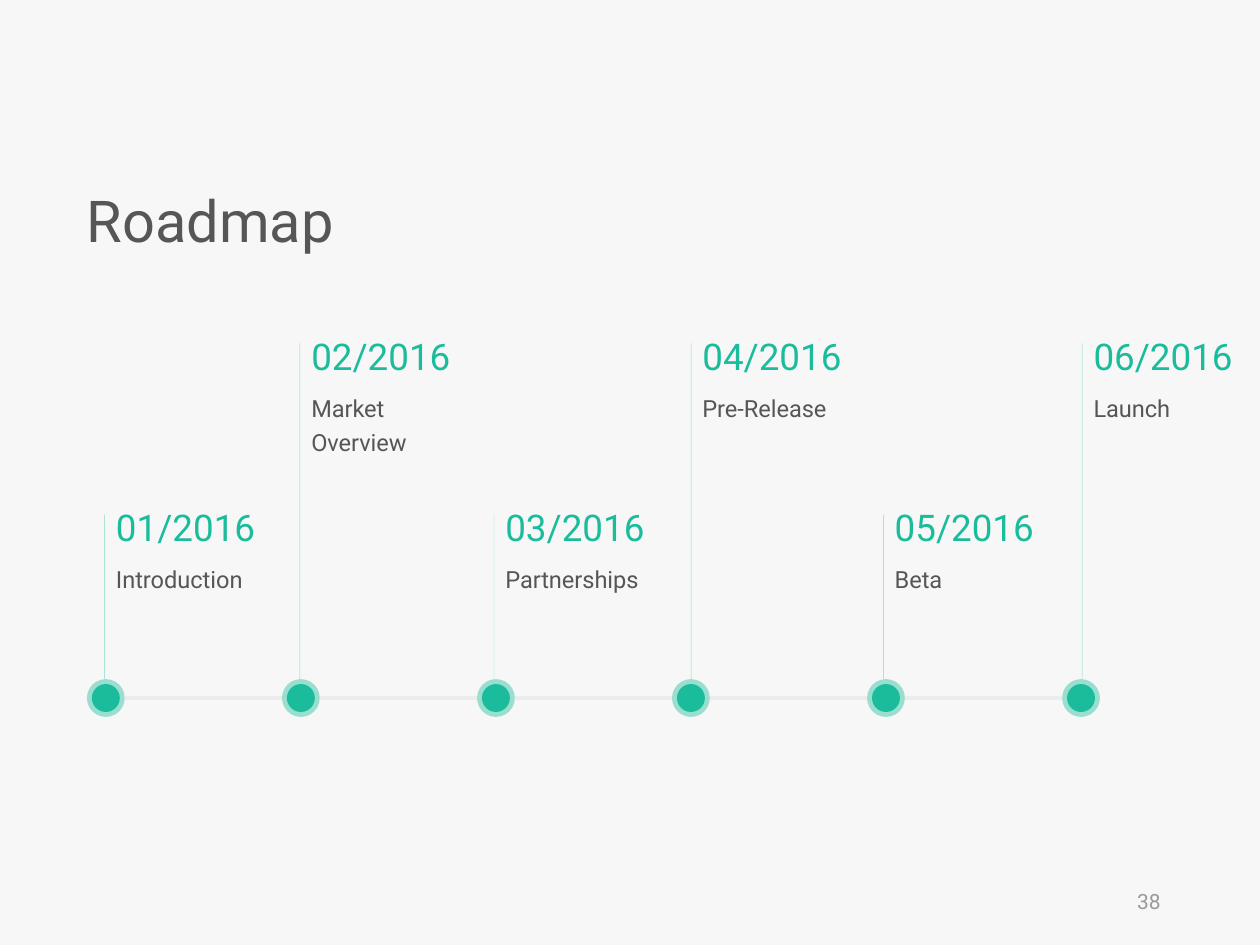
from lxml.etree import SubElement
from pptx import Presentation
from pptx.dml.color import RGBColor
from pptx.enum.shapes import MSO_CONNECTOR, MSO_SHAPE
from pptx.enum.text import MSO_ANCHOR, MSO_AUTO_SIZE, PP_ALIGN
from pptx.oxml.ns import qn
from pptx.util import Pt

TITLE = "Roadmap"
PAGE = "38"
MILESTONES = [
    ("01/2016", "Introduction"),
    ("02/2016", "Market Overview"),
    ("03/2016", "Partnerships"),
    ("04/2016", "Pre-Release"),
    ("05/2016", "Beta"),
    ("06/2016", "Launch"),
]
# Milestones alternate between the low and the high row.
ROWS = [
    {"left": 59.8, "pitch": 222.5, "top": 285.1},
    {"left": 171.4, "pitch": 223.5, "top": 187.2},
]
TWO_LINE_LABELS = {"Market Overview"}

FONT = "Roboto"
BACK, GREEN, DARK, GREY, TRACK = "F7F7F7", "1ABC9C", "565656", "9A9A9A", "EDECEC"
RING, DOT = 21.6, 16
AXIS_LEFT, AXIS_Y, DOT_PITCH = 49.7, 398.9, 111.45
LABEL_W, DATE_H, LINE_H = 100, 32.4, 25.2
LABEL_INSETS = (6.5, 3.6, 7.2, 3.6)


def rgb(color):
    return RGBColor.from_string(color)


def set_alpha(fill, percent):
    """Make a solid colour partly transparent."""
    color = fill._xPr.find(qn("a:solidFill"))[0]
    SubElement(color, qn("a:alpha"), val=str(percent * 1000))


def add_text(s, text, x, y, w, h, size, color, insets=(7.2, 3.6, 7.2, 3.6),
             align=PP_ALIGN.LEFT, anchor=MSO_ANCHOR.TOP, spacing=None, grow=True):
    tf = s.shapes.add_textbox(Pt(x), Pt(y), Pt(w), Pt(h)).text_frame
    tf.word_wrap = True
    tf.auto_size = MSO_AUTO_SIZE.SHAPE_TO_FIT_TEXT if grow else MSO_AUTO_SIZE.NONE
    tf.vertical_anchor = anchor
    tf.margin_left, tf.margin_top, tf.margin_right, tf.margin_bottom = map(Pt, insets)
    p = tf.paragraphs[0]
    p.alignment = align
    p.line_spacing = spacing
    r = p.add_run()
    r.text = text
    r.font.name, r.font.size = FONT, Pt(size)
    r.font.color.rgb = rgb(color)


def add_line(s, x1, y1, x2, y2, color, width, alpha=None):
    line = s.shapes.add_connector(MSO_CONNECTOR.STRAIGHT, Pt(x1), Pt(y1), Pt(x2), Pt(y2))
    line.line.color.rgb = rgb(color)
    line.line.width = Pt(width)
    if alpha:
        set_alpha(line.line.fill, alpha)
    SubElement(line._element.spPr, qn("a:effectLst"))


def add_circle(group, cx, cy, size, alpha=None):
    sp = group.shapes.add_shape(MSO_SHAPE.OVAL, Pt(cx - size / 2), Pt(cy - size / 2),
                                Pt(size), Pt(size))
    sp.shadow.inherit = False
    sp.fill.solid()
    sp.fill.fore_color.rgb = rgb(GREEN)
    sp.line.fill.background()
    if alpha:
        set_alpha(sp.fill, alpha)


def add_marker(s, i):
    """Draw one ringed dot and the track that leads to the next one."""
    left = AXIS_LEFT + i * DOT_PITCH
    group = s.shapes.add_group_shape()
    add_circle(group, left + RING / 2, AXIS_Y, RING, alpha=42)
    add_circle(group, left + RING / 2, AXIS_Y, DOT)
    if i < len(MILESTONES) - 1:
        add_line(s, left + RING, AXIS_Y, left + DOT_PITCH, AXIS_Y, TRACK, 2.25)


def add_label(s, i, date, name):
    """Draw the stem of one milestone with its date and name beside it."""
    row = ROWS[i % 2]
    x, y = row["left"] + i // 2 * row["pitch"], row["top"]
    name_h = LINE_H + (19.4 if name in TWO_LINE_LABELS else 0)
    add_line(s, x, AXIS_Y - RING / 2, x, y + 9, GREEN, 0.25, alpha=51)
    add_text(s, date, x, y, LABEL_W, DATE_H, 21, GREEN, insets=LABEL_INSETS)
    add_text(s, name, x, y + 31, LABEL_W, name_h, 13.5, DARK,
             insets=LABEL_INSETS, spacing=1.2)


def main():
    prs = Presentation()
    prs.slide_width, prs.slide_height = Pt(720), Pt(540)
    s = prs.slides.add_slide(prs.slide_layouts[6])
    s.background.fill.solid()
    s.background.fill.fore_color.rgb = rgb(BACK)

    add_text(s, TITLE, AXIS_LEFT, 106.6, 265, 43.2, 33, DARK,
             insets=(0, 3.6, 7.2, 3.6), spacing=0.9)
    for i, (date, name) in enumerate(MILESTONES):
        add_marker(s, i)
        add_label(s, i, date, name)
    add_text(s, PAGE, 508.3, 500.5, 162, 28.8, 12, GREY,
             align=PP_ALIGN.RIGHT, anchor=MSO_ANCHOR.MIDDLE, grow=False)
    prs.save("out.pptx")


if __name__ == "__main__":
    main()
